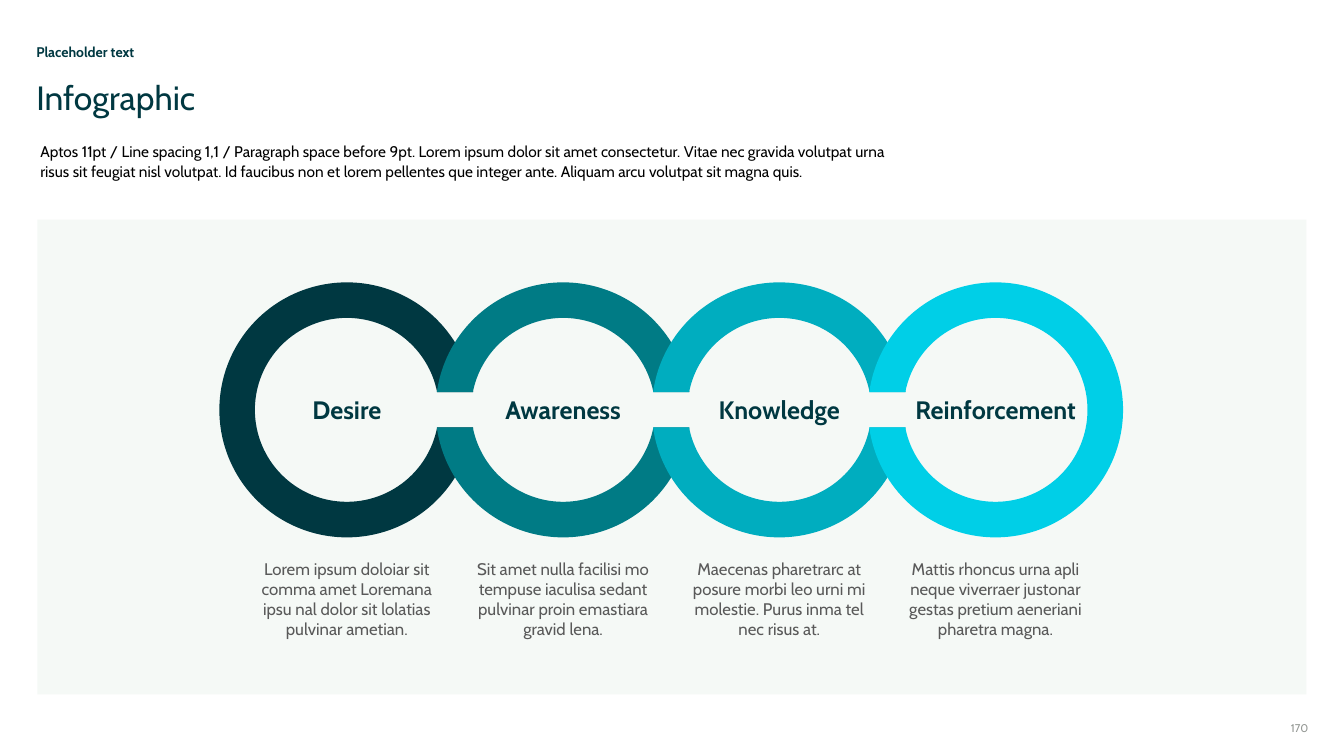
from dataclasses import dataclass
from itertools import pairwise, takewhile
from math import asin, cos, pi, sin, tan

from pptx import Presentation
from pptx.dml.color import RGBColor
from pptx.enum.shapes import MSO_SHAPE
from pptx.enum.text import MSO_ANCHOR, PP_ALIGN
from pptx.oxml.ns import qn
from pptx.oxml.xmlchemy import OxmlElement
from pptx.util import Inches, Pt

RECTANGLE = MSO_SHAPE.RECTANGLE
TOP = MSO_ANCHOR.TOP
LEFT, CENTER, RIGHT = PP_ALIGN.LEFT, PP_ALIGN.CENTER, PP_ALIGN.RIGHT

SLIDE_WIDTH, SLIDE_HEIGHT = Inches(13.33), Inches(7.5)
COLUMN, ROW = SLIDE_WIDTH / 160, SLIDE_HEIGHT / 90


@dataclass(frozen=True)
class Style:
    size: float
    color: str
    bold: bool = False
    align: PP_ALIGN = LEFT
    line_spacing: float = 1.0


@dataclass(frozen=True)
class Theme:
    font: str = "Cabin"
    panel: str = "F5F9F6"
    eyebrow: Style = Style(10, "003841", True, line_spacing=0.9)
    title: Style = Style(24, "003841", line_spacing=0.9)
    intro: Style = Style(11, "000000", line_spacing=1.1)
    label: Style = Style(18, "003841", True, CENTER)
    caption: Style = Style(12, "595959", align=CENTER)
    page_number: Style = Style(8, "939793", align=RIGHT)


@dataclass(frozen=True)
class Area:
    left: float
    top: float
    width: float
    height: float

    def emu(self) -> tuple[int, ...]:
        return (round(self.left * COLUMN), round(self.top * ROW),
                round(self.width * COLUMN), round(self.height * ROW))


@dataclass(frozen=True)
class Insets:
    left: float
    right: float
    end: float


@dataclass(frozen=True)
class Stage:
    label: str
    caption: str
    color: str
    arcs: tuple[tuple[float, float], ...]
    label_width: float = 21


THEME = Theme()
NO_INSETS = Insets(0, 0, 0)
INTRO_INSETS = Insets(0.04, 0, 0)
BOX_INSETS = Insets(0.1, 0.1, 0.05)

OPEN_RIGHT = ((0, 2 * pi),)
OPEN_BOTH = ((0, pi), (pi, 2 * pi))
OPEN_LEFT = ((pi, 3 * pi),)

FIRST_CENTER, CENTER_STEP, CENTER_ROW = 41.3, 25.74, 48.8
OUTER_RADIUS, INNER_RADIUS, HALF_GAP = 15.18, 10.95, 2.1

STAGES = (
    Stage("Desire", "Lorem ipsum doloiar sit comma amet Loremana ipsu nal dolor "
          "sit lolatias pulvinar ametian.", "003841", OPEN_RIGHT),
    Stage("Awareness", "Sit amet nulla facilisi mo tempuse iaculisa sedant pulvinar "
          "proin emastiara gravid lena.", "007B85", OPEN_BOTH),
    Stage("Knowledge", "Maecenas pharetrarc at posure morbi leo urni mi molestie. "
          "Purus inma tel nec risus at.", "00ADBF", OPEN_BOTH),
    Stage("Reinforcement", "Mattis rhoncus urna apli neque viverraer justonar gestas "
          "pretium aeneriani pharetra magna.", "00CFE7", OPEN_LEFT, 30.84),
)
INTRO = ("Aptos 11pt / Line spacing 1,1 / Paragraph space before 9pt. Lorem ipsum "
         "dolor sit amet consectetur. Vitae nec gravida volutpat urna risus sit "
         "feugiat nisl volutpat. Id faucibus non et lorem pellentes que integer "
         "ante. Aliquam arcu volutpat sit magna quis.")


def write(box, text: str, style: Style, insets: Insets) -> None:
    frame = box.text_frame
    frame.word_wrap = True
    frame.vertical_anchor = TOP
    frame.margin_left, frame.margin_right = Inches(insets.left), Inches(insets.right)
    frame.margin_top = frame.margin_bottom = Inches(insets.end)
    frame.text = text
    para = frame.paragraphs[0]
    para.alignment = style.align
    para.line_spacing = style.line_spacing
    para.font.name = THEME.font
    para.font.size = Pt(style.size)
    para.font.bold = style.bold
    para.font.color.rgb = RGBColor.from_string(style.color)


def add_text(page, area: Area, text: str, style: Style, insets: Insets) -> None:
    write(page.shapes.add_textbox(*area.emu()), text, style, insets)


def paint(shape, color: str) -> None:
    shape.shadow.inherit = False
    shape.fill.solid()
    shape.fill.fore_color.rgb = RGBColor.from_string(color)
    shape.line.fill.background()


def arc_points(center: float, radius: float, start: float,
               end: float) -> list[tuple[float, float]]:
    def place(angle: float, pull: float) -> tuple[float, float]:
        return ((center + radius * (cos(angle) - pull * sin(angle))) * COLUMN,
                (CENTER_ROW + radius * (sin(angle) + pull * cos(angle))) * ROW)

    trim = asin(HALF_GAP / radius)
    eighths = range(round(start * 4 / pi) + 1, round(end * 4 / pi))
    knots = [start + trim, *(eighth * pi / 4 for eighth in eighths), end - trim]
    points = [place(knots[0], 0)]
    for first, last in pairwise(knots):
        pull = 4 / 3 * tan((last - first) / 4)
        points += [place(first, pull), place(last, -pull), place(last, 0)]
    return points


def round_arcs(ring) -> None:
    for move in list(ring.element.iter(qn("a:moveTo"))):
        lines = list(takewhile(lambda step: step.tag == qn("a:lnTo"), move.itersiblings()))
        middle = len(lines) // 2
        arcs = lines[:middle] + lines[middle + 1:]
        for index in range(0, len(arcs), 3):
            curve = OxmlElement("a:cubicBezTo")
            arcs[index].addprevious(curve)
            for line in arcs[index:index + 3]:
                curve.append(line[0])
                line.getparent().remove(line)


def add_ring(page, center: float, stage: Stage) -> None:
    builder = None
    for start, end in stage.arcs:
        outer = arc_points(center, OUTER_RADIUS, start, end)
        inner = arc_points(center, INNER_RADIUS, start, end)
        if builder is None:
            builder = page.shapes.build_freeform(*outer[0], scale=1.0)
        else:
            builder.move_to(*outer[0])
        builder.add_line_segments(outer[1:] + inner[::-1], close=True)
    ring = builder.convert_to_shape()
    round_arcs(ring)
    paint(ring, stage.color)


def add_centered(page, center: float, top: float, width: float, height: float,
                 text: str, style: Style) -> None:
    area = Area(center - width / 2, top, width, height)
    add_text(page, area, text, style, BOX_INSETS)


def main() -> None:
    deck = Presentation()
    deck.slide_width, deck.slide_height = SLIDE_WIDTH, SLIDE_HEIGHT
    page = deck.slides.add_slide(deck.slide_layouts[5])

    title = page.shapes.title
    title.left, title.top, title.width, title.height = Area(4.32, 9.72, 151.3, 4.44).emu()
    write(title, "Infographic", THEME.title, NO_INSETS)
    add_text(page, Area(4.32, 5.4, 151.3, 1.8), "Placeholder text", THEME.eyebrow, NO_INSETS)
    add_text(page, Area(4.32, 16.68, 104.16, 4.8), INTRO, THEME.intro, INTRO_INSETS)
    add_text(page, Area(146.76, 85.92, 9, 1.8), "170", THEME.page_number, NO_INSETS)

    panel = page.shapes.add_shape(RECTANGLE, *Area(4.44, 26.16, 151.08, 56.52).emu())
    paint(panel, THEME.panel)

    centers = [FIRST_CENTER + CENTER_STEP * index for index in range(len(STAGES))]
    for center, stage in zip(centers, STAGES):
        add_ring(page, center, stage)
    for center, stage in zip(centers, STAGES):
        add_centered(page, center, 46.32, stage.label_width, 4.8, stage.label, THEME.label)
        add_centered(page, center, 65.88, 23.88, 10.92, stage.caption, THEME.caption)

    deck.save("out.pptx")


if __name__ == "__main__":
    main()
